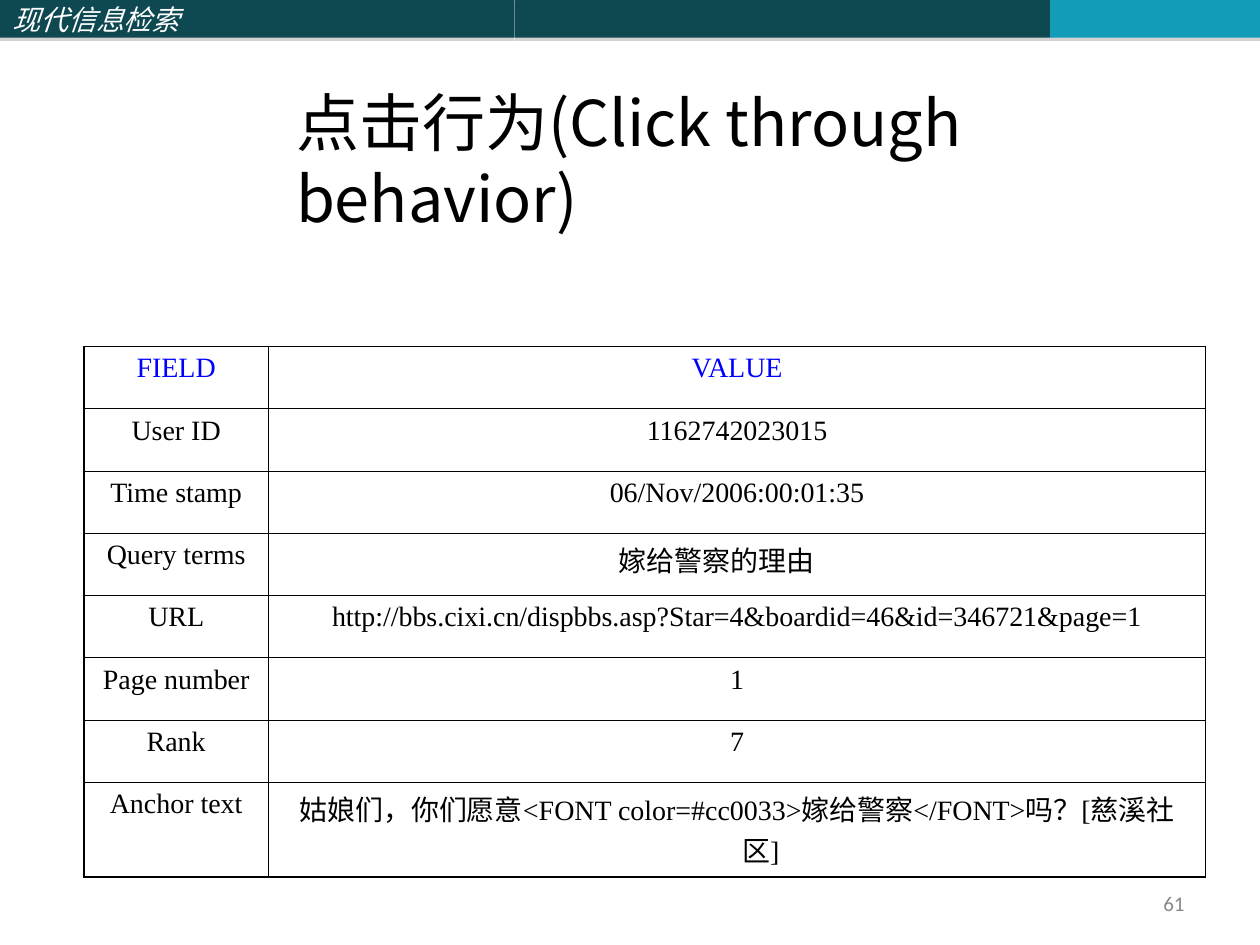
import pptx
import pptx.dml.color
import pptx.enum.shapes
import pptx.enum.text
import pptx.oxml.ns
import pptx.util
from lxml import etree

Pt = pptx.util.Pt
RGBColor = pptx.dml.color.RGBColor
Align = pptx.enum.text.PP_ALIGN
Anchor = pptx.enum.text.MSO_ANCHOR
qn = pptx.oxml.ns.qn

DARK_TEAL = RGBColor(0x0E, 0x48, 0x51)
BRIGHT_TEAL = RGBColor(0x13, 0x9C, 0xB7)
SHADOW_GRAY = RGBColor(0x80, 0x80, 0x80)
NUMBER_GRAY = RGBColor(0x89, 0x89, 0x89)
HEADING_BLUE = RGBColor(0x00, 0x00, 0xFF)
WHITE = RGBColor(0xFF, 0xFF, 0xFF)
BLACK = RGBColor(0x00, 0x00, 0x00)

CHINESE_FONT = "Noto Sans CJK SC"
THIN, THICK = 0.45, 0.96
ROW_HEIGHT, LAST_ROW_HEIGHT = 35.6, 54
COLUMN_WIDTHS = (105.4, 535.6)
HEADER_BANDS = (
    (0, 294, DARK_TEAL),
    (294, 306, DARK_TEAL),
    (600, 120, BRIGHT_TEAL),
)
CLICK_RECORD = (
    ("FIELD", "VALUE"),
    ("User ID", "1162742023015"),
    ("Time stamp", "06/Nov/2006:00:01:35"),
    ("Query terms", "嫁给警察的理由\t"),
    ("URL", "http://bbs.cixi.cn/dispbbs.asp?Star=4&boardid=46&id=346721&page=1"),
    ("Page number", "1"),
    ("Rank", "7"),
    ("Anchor text", "姑娘们，你们愿意<FONT color=#cc0033>嫁给警察</FONT>吗？[慈溪社区]"),
)


def add_child(parent, tag, **attributes):
    child = etree.SubElement(parent, qn(tag))
    for name, value in attributes.items():
        child.set(name, str(value))
    return child


def add_span(para, text, size, font, color, italic=None):
    span = para.add_run()
    span.text = text
    span.font.size = Pt(size)
    span.font.name = font
    span.font.italic = italic
    span.font.color.rgb = color
    add_child(span.font._element, "a:ea", typeface=CHINESE_FONT)


def add_band(page, left, width, color):
    band = page.shapes.add_shape(
        pptx.enum.shapes.MSO_SHAPE.RECTANGLE, Pt(left), Pt(0), Pt(width), Pt(21.6)
    )
    band.shadow.inherit = False
    band.fill.solid()
    band.fill.fore_color.rgb = color
    band.line.fill.background()
    effects = band._element.spPr.find(qn("a:effectLst"))
    shadow = add_child(
        effects, "a:outerShdw", dist=Pt(1.8), dir=5400000, algn="ctr", rotWithShape=0
    )
    tint = add_child(shadow, "a:srgbClr", val=SHADOW_GRAY)
    add_child(tint, "a:alpha", val=35000)
    return band


def add_header(page):
    bands = [add_band(page, *band) for band in HEADER_BANDS]
    frame = bands[0].text_frame
    frame.vertical_anchor = Anchor.MIDDLE
    para = frame.paragraphs[0]
    para.alignment = Align.LEFT
    add_span(para, "现代信息检索", 16, "Calibri", WHITE, italic=True)


def fill_title(page):
    title = page.shapes.title
    title.left, title.top, title.width, title.height = Pt(162), Pt(48), Pt(542), Pt(90)
    frame = title.text_frame
    frame.word_wrap = True
    frame.auto_size = pptx.enum.text.MSO_AUTO_SIZE.NONE
    frame.vertical_anchor = Anchor.BOTTOM
    para = frame.paragraphs[0]
    para.alignment = Align.LEFT
    para.line_spacing = 1.0
    add_span(para, "点击行为(Click through behavior)", 36, CHINESE_FONT, BLACK)


def add_page_number(page):
    box = page.shapes.add_textbox(Pt(534), Pt(498), Pt(150), Pt(36))
    box.text_frame.word_wrap = True
    box.text_frame.vertical_anchor = Anchor.MIDDLE
    para = box.text_frame.paragraphs[0]
    para.alignment = Align.RIGHT
    add_span(para, "61", 12, "Calibri", NUMBER_GRAY)


def set_borders(cell, widths):
    properties = cell._tc.get_or_add_tcPr()
    for position, (side, width) in enumerate(widths.items()):
        line = etree.Element(qn("a:" + side), w=str(Pt(width)))
        fill = add_child(line, "a:solidFill")
        add_child(fill, "a:srgbClr", val=BLACK)
        properties.insert(position, line)


def set_indent_and_tabs(para):
    properties = para._p.get_or_add_pPr()
    properties.set("marL", str(Pt(27)))
    properties.set("indent", str(Pt(-27)))
    tabs = add_child(properties, "a:tabLst")
    for stop in range(8):
        add_child(tabs, "a:tab", pos=Pt(72 * stop), algn="l")


def fill_cell(cell, text, color):
    cell.fill.background()
    cell.vertical_anchor = Anchor.TOP
    cell.margin_left = cell.margin_right = Pt(7.2)
    cell.margin_top = cell.margin_bottom = Pt(3.6)
    para = cell.text_frame.paragraphs[0]
    para.alignment = Align.CENTER
    set_indent_and_tabs(para)
    add_span(para, text, 16, "Times New Roman", color)


def add_record_table(page):
    last_row = len(CLICK_RECORD) - 1
    last_column = len(COLUMN_WIDTHS) - 1
    height = ROW_HEIGHT * last_row + LAST_ROW_HEIGHT
    table = page.shapes.add_table(
        len(CLICK_RECORD), len(COLUMN_WIDTHS),
        Pt(48), Pt(198), Pt(sum(COLUMN_WIDTHS)), Pt(height),
    ).table
    table.first_row = table.horz_banding = False
    for column, width in zip(table.columns, COLUMN_WIDTHS):
        column.width = Pt(width)
    for row_index, record in enumerate(CLICK_RECORD):
        is_last = row_index == last_row
        table.rows[row_index].height = Pt(LAST_ROW_HEIGHT if is_last else ROW_HEIGHT)
        for column_index, text in enumerate(record):
            cell = table.cell(row_index, column_index)
            fill_cell(cell, text, BLACK if row_index else HEADING_BLUE)
            set_borders(cell, {
                "lnL": THIN if column_index else THICK,
                "lnR": THICK if column_index == last_column else THIN,
                "lnT": THIN if row_index else THICK,
                "lnB": THICK if is_last else THIN,
            })


def main():
    deck = pptx.Presentation()
    deck.slide_width, deck.slide_height = Pt(720), Pt(540)
    page = deck.slides.add_slide(deck.slide_layouts[5])
    add_header(page)
    add_page_number(page)
    fill_title(page)
    add_record_table(page)
    deck.save("out.pptx")


if __name__ == "__main__":
    main()
